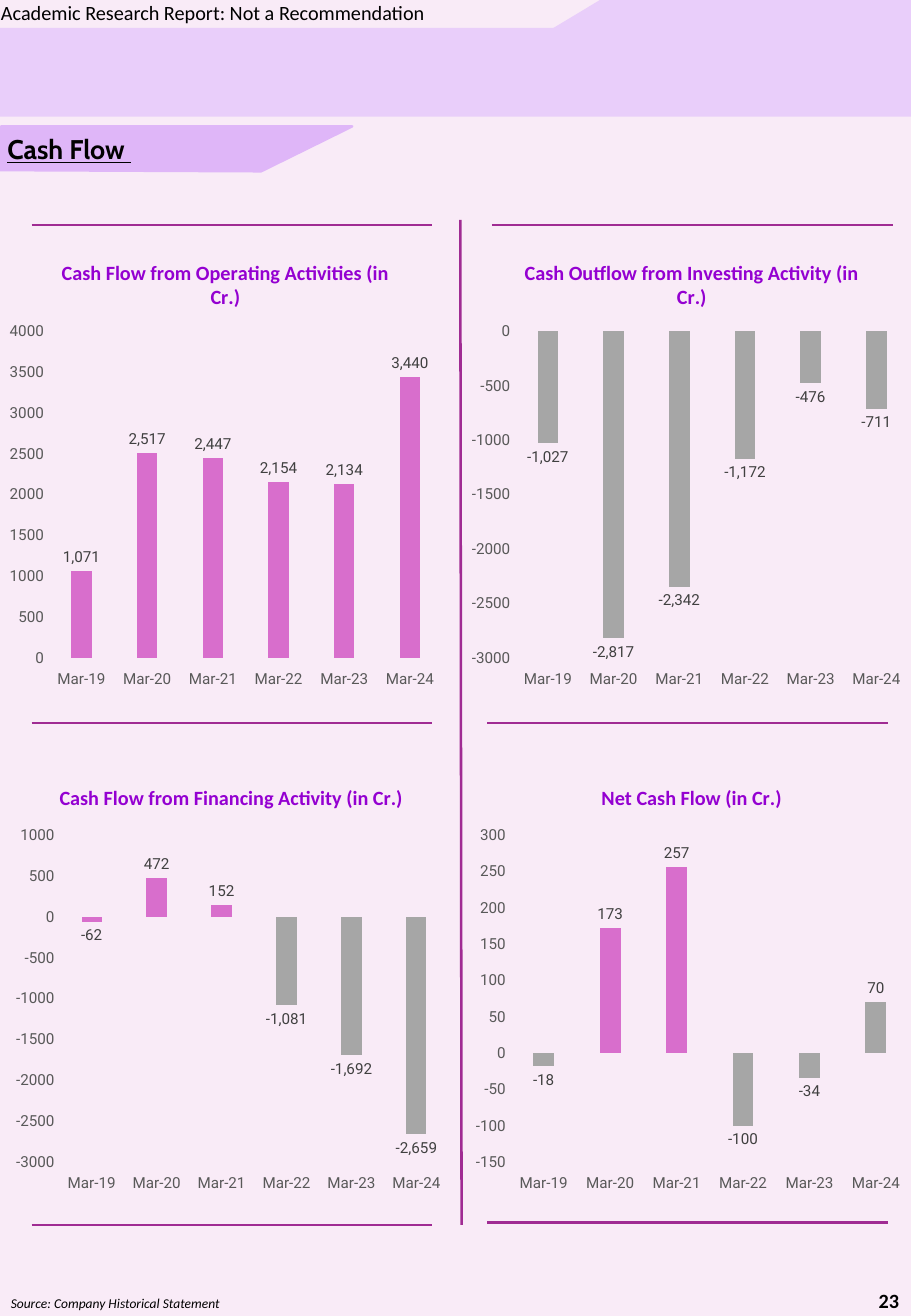
from dataclasses import dataclass

from lxml import etree
from pptx import Presentation
from pptx.chart.data import CategoryChartData
from pptx.dml.color import RGBColor
from pptx.enum.chart import XL_CHART_TYPE, XL_LABEL_POSITION, XL_TICK_LABEL_POSITION, XL_TICK_MARK
from pptx.enum.shapes import MSO_CONNECTOR, MSO_SHAPE
from pptx.enum.text import MSO_ANCHOR, PP_ALIGN
from pptx.oxml import parse_xml
from pptx.oxml.ns import nsdecls, qn
from pptx.util import Inches, Pt

COLUMN = XL_CHART_TYPE.COLUMN_CLUSTERED
OUTSIDE = XL_LABEL_POSITION.OUTSIDE_END
LOW = XL_TICK_LABEL_POSITION.LOW
NO_TICK, TICK_OUT = XL_TICK_MARK.NONE, XL_TICK_MARK.OUTSIDE
STRAIGHT, RECTANGLE = MSO_CONNECTOR.STRAIGHT, MSO_SHAPE.RECTANGLE
TOP, MIDDLE = MSO_ANCHOR.TOP, MSO_ANCHOR.MIDDLE
LEFT, RIGHT = PP_ALIGN.LEFT, PP_ALIGN.RIGHT

CELL = Inches(0.1)
COLUMNS, ROWS = 75, 108.3
MONTHS = [f"Mar-{year}" for year in range(19, 25)]


class Theme:
    """Colours, line width and type styles of the report."""
    background, band, tab = "F9EBF7", "E9CEFA", "DFB6F8"
    rule, pink, grey = "A02B93", "D86ECC", "A6A6A6"
    rule_width = Pt(1.5)
    running_head = dict(name="Calibri", size=Pt(12), color="000000")
    page_number = dict(running_head, bold=True)
    source = dict(running_head, size=Pt(8), italic=True)
    heading = dict(name="Cabin", size=Pt(16), color="000000", bold=True, underline=True)
    chart_title = dict(name="Calibri", size=Pt(12), color="9400D1", bold=True)
    chart_text = dict(name="Roboto", size=Pt(10), color="000000")
    axis_text = dict(name="Roboto", size=Pt(9), color="595959")
    value_text = dict(name="Roboto", size=Pt(9), color="404040")


@dataclass
class Box:
    """A region measured in grid columns and rows."""
    left: float
    top: float
    width: float
    height: float

    def inner(self, left, top, width, height):
        """Return a box placed relative to this one."""
        return Box(self.left + left, self.top + top, width, height)

    def emu(self):
        """Return left, top, width and height in slide units."""
        return [grid(side) for side in (self.left, self.top, self.width, self.height)]


def grid(cells):
    """Turn grid cells into slide units."""
    return round(cells * CELL)


def set_font(font, style):
    """Set every value of a type style on a font."""
    for attribute, value in style.items():
        if attribute == "color":
            font.color.rgb = RGBColor.from_string(value)
        else:
            setattr(font, attribute, value)


def paint(surface, color):
    """Give a shape, background or chart element a solid fill."""
    surface.fill.solid()
    surface.fill.fore_color.rgb = RGBColor.from_string(color)


def write(frame, words, style, anchor=MIDDLE, align=LEFT):
    """Write one styled paragraph into a text frame."""
    frame.word_wrap, frame.vertical_anchor = True, anchor
    paragraph = frame.paragraphs[0]
    paragraph.alignment = align
    run = paragraph.add_run()
    run.text = words
    set_font(run.font, style)


def add_words(slide, box, words, style, **setting):
    """Add a text box filling the given box."""
    write(slide.shapes.add_textbox(*box.emu()).text_frame, words, style, **setting)


def add_outline(slide, box, points, color):
    """Draw a filled outline from points relative to the box."""
    corners = [(grid(box.left + x), grid(box.top + y)) for x, y in points]
    builder = slide.shapes.build_freeform(*corners[0], scale=1.0)
    builder.add_line_segments(corners[1:], close=True)
    outline = builder.convert_to_shape()
    paint(outline, color)
    outline.shadow.inherit = False
    outline.line.fill.background()
    return outline


def add_rule(slide, x1, y1, x2, y2):
    """Draw a straight rule between two grid points."""
    rule = slide.shapes.add_connector(STRAIGHT, *map(grid, (x1, y1, x2, y2)))
    rule.line.color.rgb = RGBColor.from_string(Theme.rule)
    rule.line.width = Theme.rule_width
    etree.SubElement(rule._element.spPr, qn("a:effectLst"))


def add_header(slide, box):
    """Place the running head and the stepped band."""
    add_words(slide, box.inner(-0.9, -1, 39.4, 4.1),
              "Academic Research Report: Not a Recommendation", Theme.running_head)
    band = slide.shapes.add_shape(RECTANGLE, *box.inner(0, 2.3, box.width, 7.3).emu())
    paint(band, Theme.band)
    band.line.fill.background()
    band.shadow.inherit = False
    step = [(49.4, 0), (box.width, 0), (box.width, 2.4), (45.4, 2.4)]
    add_outline(slide, box, step, Theme.band)


def add_heading(slide, box):
    """Place the slide title on its slanted tab."""
    slant = [(0, 3.6), (0.1, 0), (box.width, 0), (21.5, box.height)]
    tab = add_outline(slide, box, slant, Theme.tab)
    tab.line.color.rgb = RGBColor.from_string(Theme.tab)
    tab.line.width = Theme.rule_width
    title = slide.shapes.title
    title.left, title.top, title.width, title.height = box.inner(-0.4, 0, 22.9, 3.7).emu()
    write(title.text_frame, "Cash Flow ", Theme.heading)
    tab._element.addnext(title._element)


def add_rules(slide, box):
    """Draw the divider and the rules around the four charts."""
    add_rule(slide, box.left + 37.9, box.top, box.left + 38, box.top + box.height)
    for left, top in [(2.6, 0.4), (40.5, 0.4), (2.6, 41.4), (40.1, 41.4),
                      (2.6, 82.7), (40.1, 82.5)]:
        x, y = box.left + left, box.top + top
        add_rule(slide, x, y, x + 33, y)


def add_footer(slide, box):
    """Place the source line and the page number."""
    add_words(slide, box.inner(-0.1, 2, 22.5, 2.4), "Source: Company Historical Statement",
              Theme.source, anchor=TOP)
    add_words(slide, box.inner(58.1, 0, 16.9, 5.8), "23", Theme.page_number, align=RIGHT)


def fix_plot(chart, shares):
    """Set the inner plot area to shares of the chart."""
    sides = "".join(f'<c:{side} val="{share}"/>' for side, share in zip("xywh", shares))
    layout = parse_xml(
        f'<c:layout {nsdecls("c")}><c:manualLayout><c:layoutTarget val="inner"/>'
        f'<c:xMode val="edge"/><c:yMode val="edge"/>{sides}</c:manualLayout></c:layout>')
    plot_area = chart._chartSpace.chart.plotArea
    for automatic in plot_area.findall(qn("c:layout")):
        plot_area.remove(automatic)
    plot_area.insert(0, layout)


def add_cash_chart(slide, box, title, flows, colors, scale, plot_shares):
    """Place one titled column chart of yearly cash flows."""
    data = CategoryChartData(number_format="#,##0")
    data.categories = MONTHS
    data.add_series("Series 1", flows)
    chart = slide.shapes.add_chart(COLUMN, *box.emu(), data).chart
    set_font(chart.font, Theme.chart_text)
    chart.has_legend, chart.has_title = False, True
    run = chart.chart_title.text_frame.paragraphs[0].add_run()
    run.text = title
    set_font(run.font, Theme.chart_title)

    months, amounts = chart.category_axis, chart.value_axis
    for axis, tick in ((months, TICK_OUT), (amounts, NO_TICK)):
        axis.major_tick_mark, axis.minor_tick_mark = tick, NO_TICK
        axis.has_major_gridlines = False
        axis.format.line.fill.background()
        set_font(axis.tick_labels.font, Theme.axis_text)
    months.tick_label_position = LOW
    amounts.minimum_scale, amounts.maximum_scale, amounts.major_unit = scale
    amounts.tick_labels.number_format = "General"
    amounts.tick_labels.number_format_is_linked = False

    columns = chart.plots[0]
    columns.gap_width, columns.vary_by_categories = 219, False
    series = columns.series[0]
    series.invert_if_negative = False
    paint(series.format, colors[0])
    for index, color in enumerate(colors):
        if color != colors[0]:
            paint(series.points[index].format, color)
    labels = series.data_labels
    for attribute, value in dict(show_value=True, position=OUTSIDE, number_format="#,##0",
                                 number_format_is_linked=False).items():
        setattr(labels, attribute, value)
    set_font(labels.font, Theme.value_text)
    fix_plot(chart, plot_shares)


def main():
    """Build the cash flow page."""
    deck = Presentation()
    deck.slide_width, deck.slide_height = grid(COLUMNS), grid(ROWS)
    slide = deck.slides.add_slide(deck.slide_layouts[5])
    paint(slide.background, Theme.background)
    add_header(slide, Box(0, 0, COLUMNS, 9.6))
    add_footer(slide, Box(0, 104.1, COLUMNS, 5.8))
    add_heading(slide, Box(0, 10.4, 29, 3.7))
    add_rules(slide, Box(0, 18.1, COLUMNS, 82.7))
    pink, grey = [Theme.pink], [Theme.grey]
    upper, lower = dict(top=19.7, width=37.3, height=37.9), dict(top=63, width=37.3, height=35.9)
    for box, *content in [
        (Box(left=-0.1, **upper), "Cash Flow from Operating Activities (in Cr.)",
         [1071, 2517, 2447, 2154, 2134, 3440], pink * 6, (0, 4000, 500), (0.11, 0.2, 0.87, 0.71)),
        (Box(left=38.3, **upper), "Cash Outflow from Investing Activity (in Cr.)",
         [-1027, -2817, -2342, -1172, -476, -711], grey * 6, (-3000, 0, 500),
         (0.11, 0.2, 0.87, 0.71)),
        (Box(left=0.4, **lower), "Cash Flow from Financing Activity (in Cr.)",
         [-62, 472, 152, -1081, -1692, -2659], pink * 3 + grey * 3, (-3000, 1000, 500),
         (0.12, 0.16, 0.86, 0.75)),
        (Box(left=38.3, **lower), "Net Cash Flow (in Cr.)",
         [-18, 173, 257, -100, -34, 70], grey + pink * 2 + grey * 3, (-150, 300, 50),
         (0.1, 0.16, 0.88, 0.75)),
    ]:
        add_cash_chart(slide, box, *content)
    deck.save("out.pptx")


if __name__ == "__main__":
    main()
